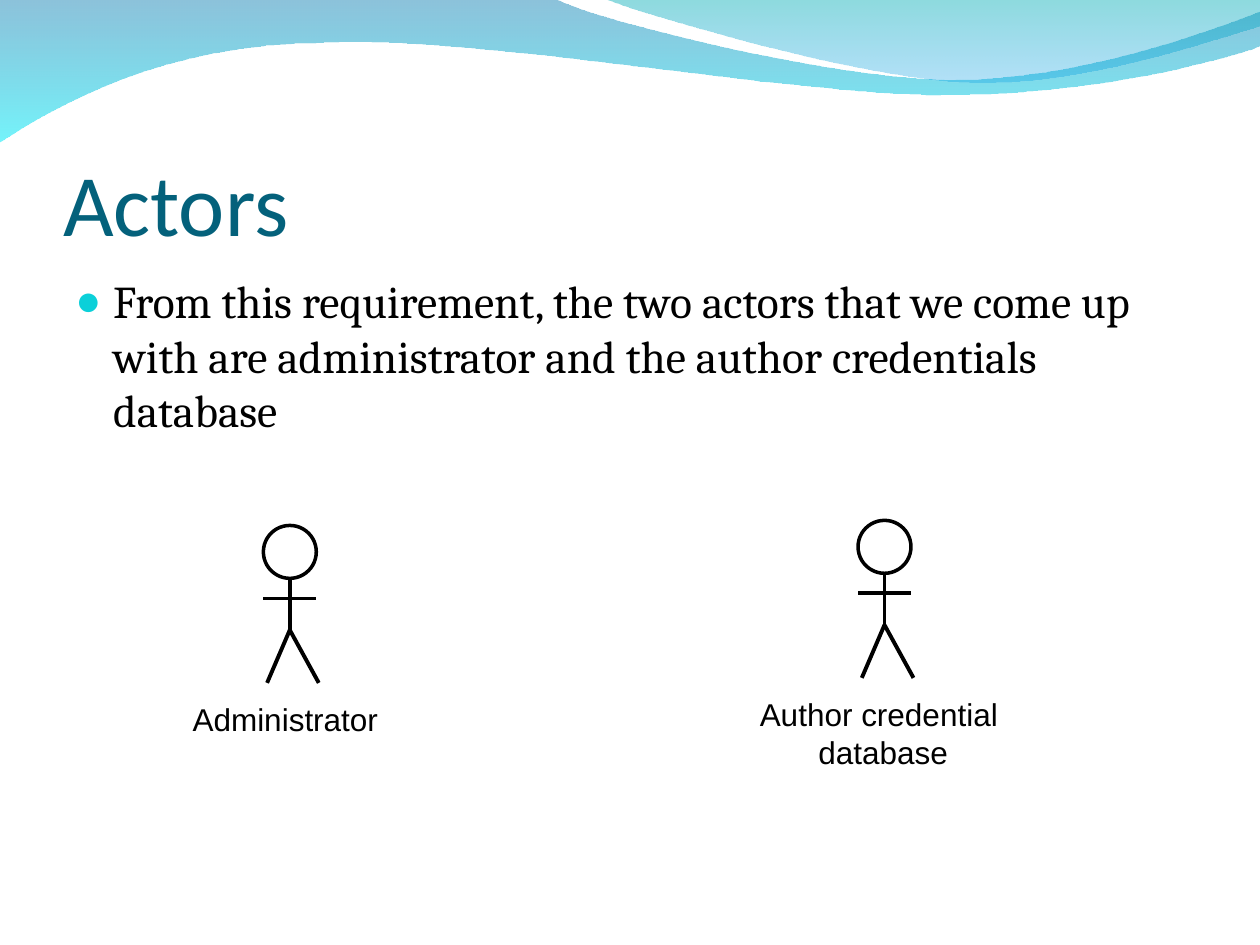
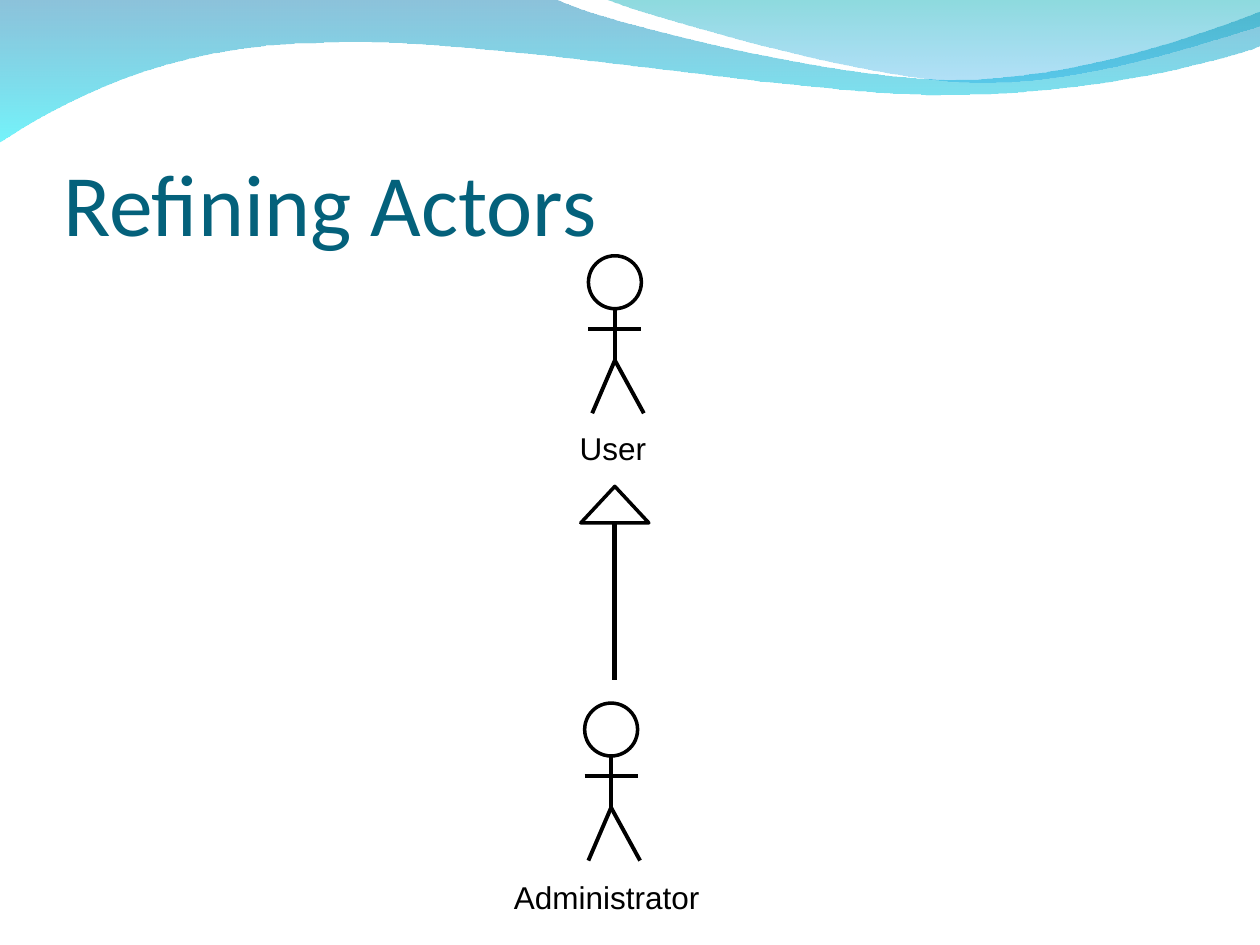
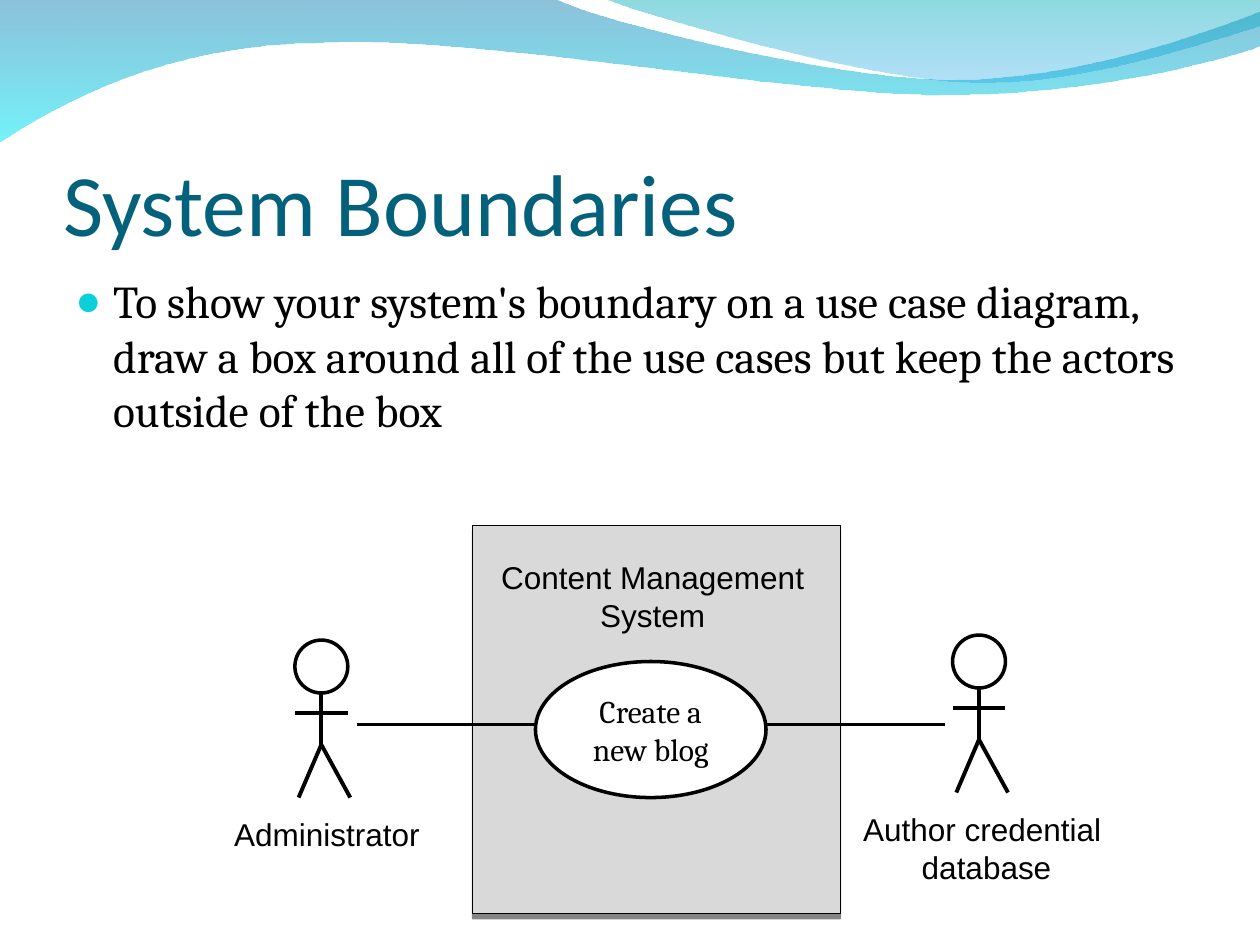
from lxml import etree
from pptx import Presentation
from pptx.dml.color import RGBColor
from pptx.enum.shapes import MSO_CONNECTOR, MSO_SHAPE
from pptx.enum.text import MSO_ANCHOR, MSO_AUTO_SIZE, PP_ALIGN
from pptx.oxml.ns import qn
from pptx.util import Inches, Pt

STRAIGHT = MSO_CONNECTOR.STRAIGHT
OVAL = MSO_SHAPE.OVAL
RECTANGLE = MSO_SHAPE.RECTANGLE
TRIANGLE = MSO_SHAPE.ISOSCELES_TRIANGLE
LEFT, CENTER = PP_ALIGN.LEFT, PP_ALIGN.CENTER
TOP, MIDDLE, BOTTOM = MSO_ANCHOR.TOP, MSO_ANCHOR.MIDDLE, MSO_ANCHOR.BOTTOM
GROW, FIXED = MSO_AUTO_SIZE.SHAPE_TO_FIT_TEXT, MSO_AUTO_SIZE.NONE

COLORS = {
    "title": "04617B", "ink": "000000", "paper": "FFFFFF",
    "bullet": "0BD0D9", "boundary": "D9D9D9",
    "deep_blue": "0079AF", "cyan": "00EBF8", "teal": "00ADB6", "sky": "009BE5",
}
TITLE_FONT, BODY_FONT, LABEL_FONT = "Calibri", "Cambria", "Arial"
TITLE_ONLY = 5

# Two-number steps are line ends; six-number steps are Bezier curves.
# Each gradient stop is a colour name and its opacity in percent.
WAVES = [
    {"start": (0, -0.01),
     "steps": [(4.4, -0.01),
               (4.76, 0.17, 6.64, 0.63, 7.58, 0.63),
               (8.53, 0.63, 9.58, 0.26, 10, 0.09),
               (10.01, 0.36),
               (9.83, 0.44, 8.7, 0.76, 7.46, 0.75),
               (6.22, 0.75, 3.82, 0.28, 2.57, 0.34),
               (1.29, 0.35, 0.46, 0.83, -0.01, 1.13)],
     "stops": [("deep_blue", 45), ("cyan", 55)]},
    {"start": (4.79, -0.01),
     "steps": [(5.09, 0.11, 6.82, 0.62, 7.69, 0.65),
               (8.56, 0.69, 9.61, 0.32, 10, 0.21),
               (10, 0)],
     "stops": [("teal", 45), ("sky", 30)]},
]


def color(name):
    return RGBColor.from_string(COLORS[name])


def add_element(parent, tag, **attributes):
    element = etree.SubElement(parent, qn(tag))
    for name, value in attributes.items():
        element.set(name, str(value))
    return element


# Text
def write_text(text_frame, text, size=18, font=LABEL_FONT, ink="ink", align=LEFT,
               anchor=TOP, insets=(0.1, 0.05, 0.1, 0.05), wrap=True,
               fit=FIXED, bullet=False):
    text_frame.word_wrap = wrap
    text_frame.auto_size = fit
    text_frame.vertical_anchor = anchor
    (text_frame.margin_left, text_frame.margin_top,
     text_frame.margin_right, text_frame.margin_bottom) = map(Inches, insets)
    text_frame.text = text
    for paragraph in text_frame.paragraphs:
        if bullet:
            add_bullet(paragraph)
        paragraph.alignment = align
        paragraph.font.size = Pt(size)
        paragraph.font.name = font
        paragraph.font.color.rgb = color(ink)


def add_bullet(paragraph):
    properties = paragraph._p.get_or_add_pPr()
    properties.set("marL", str(Inches(0.3)))
    properties.set("indent", str(Inches(-0.3)))
    bullet_color = add_element(properties, "a:buClr")
    add_element(bullet_color, "a:srgbClr", val=COLORS["bullet"])
    add_element(properties, "a:buSzPct", val=95000)
    add_element(properties, "a:buFont", typeface=LABEL_FONT)
    add_element(properties, "a:buChar", char="●")


def add_text(slide, text, left, top, width, height, **text_format):
    box = slide.shapes.add_textbox(*map(Inches, (left, top, width, height)))
    write_text(box.text_frame, text, **text_format)


def add_label(slide, text, left, top, width, height, align=CENTER):
    add_text(slide, text, left, top, width, height, align=align, wrap=False, fit=GROW)


def add_body(slide, text):
    add_text(slide, text, 0.5, 2.12, 9, 4.8, size=26, font=BODY_FONT, bullet=True)


# Shapes and lines
def add_shape(shapes, kind, left, top, width, height, fill="paper", line_width=2):
    shape = shapes.add_shape(kind, *map(Inches, (left, top, width, height)))
    shape.shadow.inherit = False
    shape.fill.solid()
    shape.fill.fore_color.rgb = color(fill)
    shape.line.color.rgb = color("ink")
    shape.line.width = Pt(line_width)
    return shape


def add_line(shapes, start, end, line_width=2.25):
    line = shapes.add_connector(STRAIGHT, *map(Inches, (*start, *end)))
    line.line.color.rgb = color("ink")
    line.line.width = Pt(line_width)
    add_element(line._element.spPr, "a:effectLst")


def add_drop_shadow(shape):
    effects = shape._element.spPr.find(qn("a:effectLst"))
    shadow = add_element(effects, "a:outerShdw", blurRad=0, dist=Pt(3),
                         dir=5400000, algn="t", rotWithShape=0)
    shadow_color = add_element(shadow, "a:srgbClr", val=COLORS["ink"])
    add_element(shadow_color, "a:alpha", val=48000)


def add_actor(slide, left, top):
    """Draw a stick figure whose head starts at left, top."""
    shapes = slide.shapes.add_group_shape().shapes
    head = 0.42
    middle = left + head / 2
    hip = top + 0.83
    foot = top + 1.25
    arm = top + 0.58
    add_shape(shapes, OVAL, left, top, head, head)
    add_line(shapes, (middle, top + head), (middle, hip))
    add_line(shapes, (middle, hip), (middle - 0.18, foot))
    add_line(shapes, (middle, hip), (middle + 0.23, foot))
    add_line(shapes, (left, arm), (left + head, arm))


def add_administrator(slide, left, top, label_left):
    add_actor(slide, left, top)
    add_label(slide, "Administrator", label_left, top + 1.34, 1.67, 0.4, align=LEFT)


def add_author_database(slide, left, top, label_left):
    add_actor(slide, left, top)
    add_label(slide, "Author credential \ndatabase", label_left, top + 1.34, 2.16, 0.7)


# Shared wave band
def bend_segments(wave, steps):
    """Turn the straight segments of the curved steps into Bezier curves."""
    segments = list(wave._element.spPr.iter(qn("a:lnTo")))
    for segment, step in zip(segments, steps):
        if len(step) == 2:
            continue
        segment.tag = qn("a:cubicBezTo")
        controls = (step[:2], step[2:4])
        for position, (x, y) in enumerate(controls):
            point = add_element(segment, "a:pt", x=Inches(x) - wave.left,
                                y=Inches(y) - wave.top)
            segment.insert(position, point)


def add_wave(slide, start, steps, stops):
    builder = slide.shapes.build_freeform(*map(Inches, start))
    builder.add_line_segments([tuple(map(Inches, step[-2:])) for step in steps], close=True)
    wave = builder.convert_to_shape()
    bend_segments(wave, steps)
    wave.shadow.inherit = False
    wave.line.fill.background()
    wave.fill.gradient()
    wave.fill.gradient_angle = 270
    for stop, (name, _) in zip(wave.fill.gradient_stops, stops):
        stop.color.rgb = color(name)
    for element, (_, opacity) in zip(wave._element.spPr.iter(qn("a:srgbClr")), stops):
        add_element(element, "a:alpha", val=opacity * 1000)
    return wave


def move_waves_to_layout(slide):
    """Draw the waves once and keep them on the layout, behind its placeholders."""
    layout_tree = slide.slide_layout.shapes.element
    for position, wave in enumerate(WAVES, start=2):
        layout_tree.insert(position, add_wave(slide, **wave).element)


# Slides
def add_titled_slide(presentation, title_text):
    slide = presentation.slides.add_slide(presentation.slide_layouts[TITLE_ONLY])
    title = slide.shapes.title
    title.left, title.top, title.width, title.height = map(Inches, (0.5, 0.77, 9, 1.25))
    write_text(title.text_frame, title_text, size=50, font=TITLE_FONT, ink="title",
               anchor=BOTTOM, insets=(0, 0.05, 0, 0))
    return slide


def build_actors(presentation):
    slide = add_titled_slide(presentation, "Actors")
    move_waves_to_layout(slide)
    add_body(slide, "From this requirement, the two actors that we come up with are "
                    "administrator and the author credentials database")
    add_administrator(slide, 2.09, 4.17, label_left=1.43)
    add_author_database(slide, 6.81, 4.13, label_left=5.93)


def build_refining_actors(presentation):
    slide = add_titled_slide(presentation, "Refining Actors")
    add_administrator(slide, 4.64, 5.58, label_left=3.98)
    add_actor(slide, 4.67, 2.03)
    add_label(slide, "User", 4.5, 3.36, 0.73, 0.4)
    # Generalization arrow
    add_shape(slide.shapes, TRIANGLE, 4.61, 3.86, 0.54, 0.29)
    add_line(slide.shapes, (4.88, 4.15), (4.88, 5.4), line_width=3)


def build_system_boundaries(presentation):
    slide = add_titled_slide(presentation, "System Boundaries")
    boundary = add_shape(slide.shapes, RECTANGLE, 3.75, 4.17, 2.92, 3.08,
                         fill="boundary", line_width=0.75)
    add_drop_shadow(boundary)
    add_body(slide, "To show your system's boundary on a use case diagram, draw a box "
                    "around all of the use cases but keep the actors outside of the box")
    add_administrator(slide, 2.34, 5.08, label_left=1.76)
    add_author_database(slide, 7.56, 5.04, label_left=6.75)
    # Use case and its associations
    use_case = add_shape(slide.shapes, OVAL, 4.25, 5.25, 1.83, 1.08)
    write_text(use_case.text_frame, "Create a new blog", font=BODY_FONT,
               align=CENTER, anchor=MIDDLE)
    for start in (2.83, 6.08):
        add_line(slide.shapes, (start, 5.75), (start + 1.42, 5.75))
    add_label(slide, "Content Management\nSystem", 3.86, 4.38, 2.64, 0.7)


def main():
    presentation = Presentation()
    presentation.slide_width = Inches(10)
    presentation.slide_height = Inches(7.5)
    build_actors(presentation)
    build_refining_actors(presentation)
    build_system_boundaries(presentation)
    presentation.save("out.pptx")


if __name__ == "__main__":
    main()
